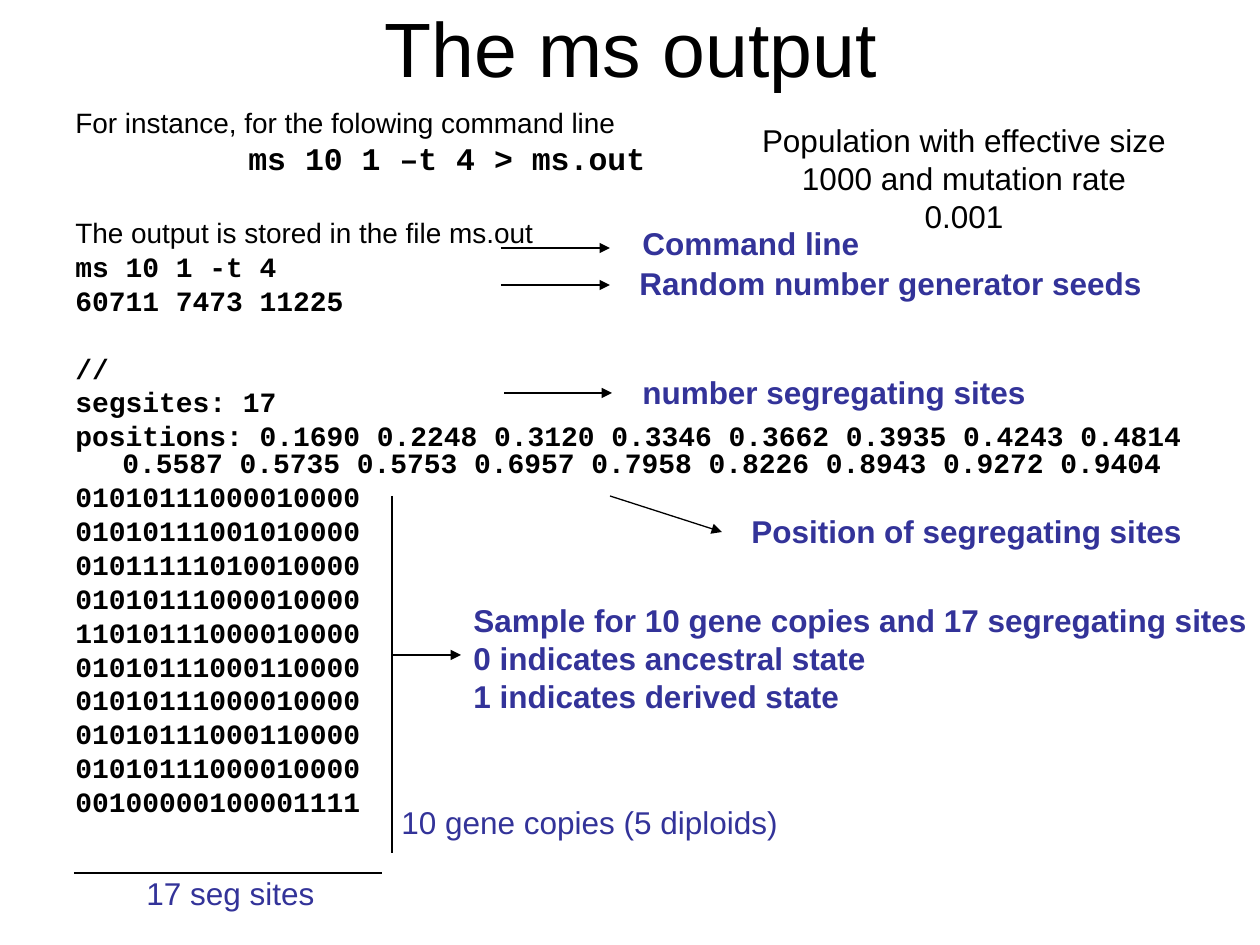
from lxml.etree import SubElement
from pptx import Presentation
from pptx.dml.color import RGBColor
from pptx.enum.shapes import MSO_CONNECTOR
from pptx.enum.text import MSO_ANCHOR, MSO_AUTO_SIZE, PP_ALIGN
from pptx.oxml.ns import qn
from pptx.util import Emu, Pt

COLORS = {"text": "000000", "label": "333399", "line": "000000"}
SANS, MONO = "Arial", "Courier New"


def px(n):
    return Emu(round(n * 914400 / 126))


def write(p, text, size=18, font=SANS, color="text", bold=False,
          align=PP_ALIGN.LEFT, before=0, spacing=None, left=0, hang=0):
    """Fill a paragraph with one formatted run."""
    p.alignment = align
    p.space_before = Pt(before)
    if spacing:
        p.line_spacing = spacing
    pPr = p._p.get_or_add_pPr()
    pPr.set("marL", str(px(left)))
    pPr.set("indent", str(px(-hang)))
    r = p.add_run()
    r.text = text
    r.font.size = Pt(size)
    r.font.name = font
    r.font.bold = bold
    r.font.color.rgb = RGBColor.from_string(COLORS[color])


class SlideBuilder:
    def __init__(self, prs):
        self.s = prs.slides.add_slide(prs.slide_layouts[6])

    def text(self, x, y, w, h, items, wrap=True, grow=False,
             anchor=MSO_ANCHOR.TOP, **style):
        """Text box; each item is a string or (string, own format)."""
        tf = self.s.shapes.add_textbox(px(x), px(y), px(w), px(h)).text_frame
        tf.word_wrap = wrap
        tf.auto_size = MSO_AUTO_SIZE.SHAPE_TO_FIT_TEXT if grow else MSO_AUTO_SIZE.NONE
        tf.vertical_anchor = anchor
        for i, item in enumerate(items):
            text, own = (item, {}) if isinstance(item, str) else item
            p = tf.add_paragraph() if i else tf.paragraphs[0]
            write(p, text, **{**style, **own})

    def label(self, x, y, w, *lines, bold=True):
        self.text(x, y, w, 13 + 38 * len(lines), lines, wrap=False, grow=True,
                  color="label", bold=bold)

    def line(self, x1, y1, x2, y2, arrow=False):
        sp = self.s.shapes.add_connector(MSO_CONNECTOR.STRAIGHT,
                                         px(x1), px(y1), px(x2), px(y2))
        sp.line.width = Pt(0.75)
        sp.line.color.rgb = RGBColor.from_string(COLORS["line"])
        spPr = sp._element.spPr
        if arrow:
            SubElement(spPr.find(qn("a:ln")), qn("a:tailEnd"), type="triangle")
        SubElement(spPr, qn("a:effectLst"))


POSITIONS = ("positions: 0.1690 0.2248 0.3120 0.3346 0.3662 0.3935 0.4243 0.4814 "
             "0.5587 0.5735 0.5753 0.6957 0.7958 0.8226 0.8943 0.9272 0.9404")
HAPLOTYPES = [
    "01010111000010000", "01010111001010000", "01011111010010000",
    "01010111000010000", "11010111000010000", "01010111000110000",
    "01010111000010000", "01010111000110000", "01010111000010000",
    "00100000100001111",
]


def main():
    prs = Presentation()
    prs.slide_width, prs.slide_height = px(1260), px(945)
    s = SlideBuilder(prs)

    # Title
    s.text(64, -32, 1134, 158, ["The ms output"], size=44,
           align=PP_ALIGN.CENTER, anchor=MSO_ANCHOR.MIDDLE)

    # Command and its output
    prose = {"font": SANS, "bold": False}
    s.text(63, 106, 1134, 814, [
        ("For instance, for the folowing command line", prose),
        ("ms 10 1 –t 4 > ms.out", {"size": 18, "before": 4, "left": 173, "hang": 0}),
        ("The output is stored in the file ms.out", {**prose, "before": 26}),
        "ms 10 1 -t 4",
        "60711 7473 11225",
        ("//", {"before": 23.5}),
        "segsites: 17",
        POSITIONS,
        *HAPLOTYPES,
    ], size=16, font=MONO, bold=True, before=4, spacing=0.8, left=47, hang=47)

    # Population note
    s.text(749, 115, 430, 126,
           ["Population with effective size 1000 and mutation rate 0.001"],
           grow=True, align=PP_ALIGN.CENTER)

    # Arrows from the output to its explanations
    for x1, y1, x2, y2 in [(501, 248, 610, 248), (501, 285, 610, 285),
                           (504, 393, 612, 393), (610, 496, 722, 532),
                           (392, 655, 461, 655)]:
        s.line(x1, y1, x2, y2, arrow=True)

    # Explanations, each box a little wider than its text
    s.label(630, 218, 246, "Command line")
    s.label(627, 258, 534, "Random number generator seeds")
    s.label(630, 367, 414, "number segregating sites")
    s.label(739, 506, 462, "Position of segregating sites")
    s.label(461, 595, 799, "Sample for 10 gene copies and 17 segregating sites",
            "0 indicates ancestral state", "1 indicates derived state")

    # Dimensions of the sample
    s.line(74, 873, 382, 873)
    s.label(134, 868, 196, "17 seg sites", bold=False)
    s.line(392, 496, 392, 853)
    s.label(389, 797, 406, "10 gene copies (5 diploids)", bold=False)

    prs.save("out.pptx")


if __name__ == "__main__":
    main()
